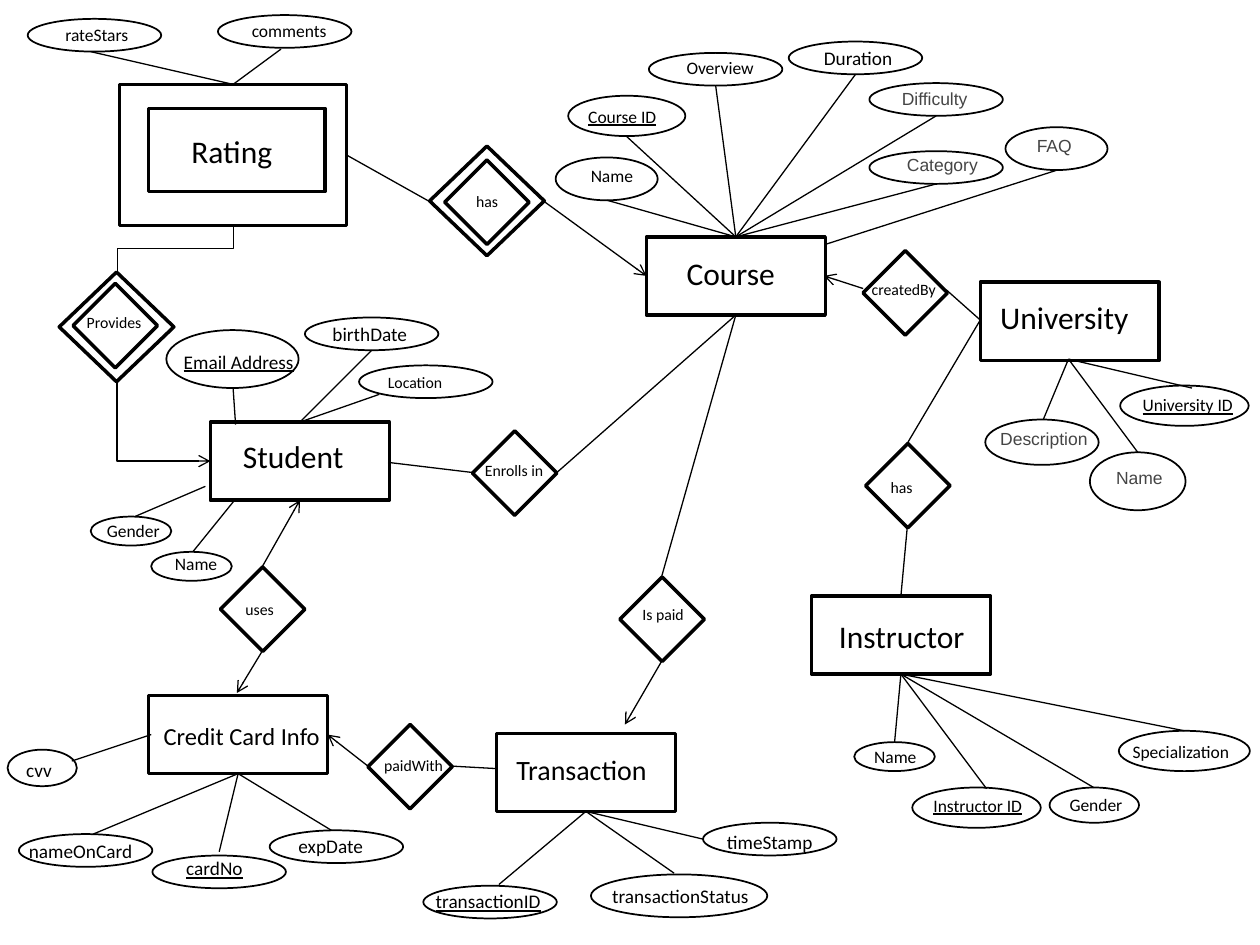
from dataclasses import dataclass
from typing import Optional

from lxml.etree import SubElement
from pptx import Presentation
from pptx.dml.color import RGBColor
from pptx.enum.shapes import MSO_CONNECTOR as CONN, MSO_SHAPE as SHAPE
from pptx.enum.text import MSO_AUTO_SIZE as AUTO
from pptx.oxml.ns import qn
from pptx.util import Inches, Pt

BLACK = RGBColor(0x00, 0x00, 0x00)
GRAY = RGBColor(0x45, 0x45, 0x45)
COLS, ROWS = 100, 75
LABEL_ROWS = {9: 2.5, 10: 2.7, 11: 2.9, 14: 3.4, 16: 3.7, 18: 4.0}
Point = tuple[float, float]
Box = tuple[float, float, float, float]


@dataclass
class Node:
    text: str
    box: Box
    label: tuple[float, float, float]
    size: int = 10
    key: bool = False
    gray: bool = False
    wrap: bool = True
    weak: Optional[Box] = None


@dataclass
class Link:
    start: Point
    end: Point
    arrow: bool = False


@dataclass
class Spokes:
    hub: Point
    ends: list[Point]


def entity(text: str, x: float, y: float, label: tuple[float, float, float], size: int = 18) -> Node:
    return Node(text, (x, y, 14.2, 6.2), label, size, wrap=False)


def relation(text: str, x: float, y: float, label: tuple[float, float, float],
             wrap: bool = False, weak: Optional[Box] = None) -> Node:
    return Node(text, (x, y, 6.7, 6.7), label, 9, wrap=wrap, weak=weak)


def attribute(text: str, x: float, y: float, label: tuple[float, float, float], size: int = 10,
              w: float = 10.6, h: float = 2.6, key: bool = False, gray: bool = False) -> Node:
    return Node(text, (x, y, w, h), label, size, key, gray, not gray)


ENTITIES = [
    Node("Rating", (11.8, 8.6, 14, 6.6), (14.2, 10, 8.5), 18, wrap=False, weak=(9.5, 6.7, 18, 11.2)),
    entity("Student", 16.7, 33.5, (18.3, 34.2, 10.1)),
    entity("Course", 51.3, 18.8, (53.5, 19.7, 9.1)),
    entity("University", 77.8, 22.4, (78.4, 23.2, 12.3)),
    entity("Instructor", 64.4, 47.3, (65.6, 48.5, 12.1)),
    entity("Credit Card Info", 11.8, 55.2, (12, 56.7, 14.5), 14),
    entity("Transaction", 39.4, 58.2, (40, 59.2, 12.5), 16),
]

RELATIONS = [
    relation("Provides", 5.8, 22.5, (5.9, 24.3, 6.4), weak=(4.7, 21.6, 9.1, 8.7)),
    relation("has", 35.3, 12.7, (36.8, 14.7, 7.8), True, weak=(34.1, 11.6, 9.1, 8.7)),
    relation("createdBy", 68.5, 19.9, (68.2, 21.7, 7.2)),
    relation("has", 68.7, 35.2, (69.7, 37.4, 7), True),
    relation("Enrolls in", 37.5, 34.2, (37.5, 36.1, 6.7)),
    relation("uses", 17.5, 45, (18.5, 47.1, 4.3)),
    relation("paidWith", 29.2, 57.5, (29.5, 59.5, 6.8)),
    relation("Is paid", 49.2, 45.8, (50, 47.5, 5.3)),
]

ATTRIBUTES = [
    attribute("rateStars", 2.2, 1.5, (4.2, 1.4, 8.8)),
    attribute("comments", 17.3, 1.2, (19, 1.1, 8.8)),
    attribute("Email Address", 13.2, 26.2, (13.6, 27.3, 11.8), 11, 10.5, 4.6, key=True),
    attribute("birthDate", 24.2, 25.2, (25.4, 25.1, 8.4), 11),
    attribute("Location", 28.5, 29, (29.8, 29.1, 10.2), 9),
    attribute("Gender", 7.2, 41, (7.5, 40.8, 6.8), w=6.4, h=2.3),
    attribute("Name", 12, 43.8, (12.9, 43.4, 5.6), w=6.4, h=2.3),
    attribute("Name", 44.1, 12.5, (45.9, 12.6, 7.8), w=8.1, h=3.4),
    attribute("Course ID", 45.1, 7.6, (45.7, 7.9, 7.8), w=9.3, h=3.2, key=True),
    attribute("Overview", 51.5, 4.2, (53.5, 4, 7.8)),
    attribute("Duration", 62.6, 3.3, (64.4, 3.2, 7.5), 11),
    attribute("Difficulty", 69, 6.6, (70.6, 6.5, 7.3), gray=True),
    attribute("Category", 69, 12, (71, 11.7, 7.7), gray=True),
    attribute("FAQ", 79.8, 10.1, (81.3, 10.2, 4.9), w=8.1, h=3.4, gray=True),
    attribute("University ID", 88.9, 30.6, (89.7, 30.8, 9.7), w=10.2, h=3.2, key=True),
    attribute("Description", 78.2, 33.3, (78.4, 33.5, 9), w=9, h=3.6, gray=True),
    attribute("Name", 86.5, 35.9, (87.6, 36.6, 5.8), w=7.6, h=4.6, gray=True),
    attribute("Name", 67.8, 58.9, (68.4, 58.7, 5.6), w=6.4, h=2.3),
    attribute("Instructor ID", 72.4, 62.5, (73.1, 62.6, 10.4), w=10.2, h=3.2, key=True),
    attribute("Gender", 83.3, 62.5, (83.9, 62.5, 6.8), w=7.1, h=2.8),
    attribute("Specialization", 88.8, 58, (88.9, 58.3, 10.1), w=10.4, h=3.2),
    attribute("cvv", 0.6, 59.5, (1.1, 59.7, 6.7), 11, 5.5, 2.9),
    attribute("nameOnCard", 1.5, 66.2, (1.3, 66.1, 10.8), 11),
    attribute("cardNo", 12.1, 67.9, (13.8, 67.5, 6.7), 11, key=True),
    attribute("expDate", 21.4, 65.9, (22.7, 65.7, 8.3), 11),
    attribute("transactionID", 33.6, 70.3, (33.6, 70.1, 10.8), 11, key=True),
    attribute("transactionStatus", 46.9, 69.4, (47.6, 69.7, 13.6), 11, 14, 3.4),
    attribute("timeStamp", 55.8, 65.3, (56.7, 65.4, 10.8), 11),
]

SPOKES = [
    Spokes((18.5, 6.7), [(7.2, 4.1), (22.3, 3.9)]),
    Spokes((23.8, 33.5), [(29.5, 27.8), (30.1, 31.3)]),
    Spokes((58.4, 18.8), [(48.2, 15.9), (49.7, 10.8), (56.8, 6.8), (67.9, 5.9), (74.3, 9.2), (74.3, 14.6)]),
    Spokes((84.8, 28.5), [(94.6, 30.8), (90.3, 35.9), (82.8, 33.3)]),
    Spokes((71.5, 53.5), [(71, 58.9), (78.3, 62.6), (86.8, 62.5), (94, 58)]),
    Spokes((18.9, 61.4), [(7.4, 66.2), (17.4, 67.6), (26.3, 65.9)]),
    Spokes((46.5, 64.4), [(39.6, 70.2), (53.5, 69.3), (55.8, 66.6)]),
    Spokes((58.4, 25), [(52.5, 45.8), (44.2, 37.5)]),
    Spokes((77.8, 25.4), [(75.1, 23), (72, 35.2)]),
]

LINKS = [
    Link((18.5, 30.8), (18.7, 33.7)),
    Link((10.7, 41), (16.3, 38.6)),
    Link((15.3, 43.8), (18.7, 39.6)),
    Link((65.5, 19.4), (83.9, 13.5)),
    Link((5.7, 60.4), (12, 58.3)),
    Link((35.8, 60.8), (39.4, 61)),
    Link((30.8, 36.7), (37.5, 37.5)),
    Link((34.1, 16), (27.5, 12.3)),
    Link((72, 41.9), (71.5, 47.3)),
    Link((29.2, 60.8), (26, 58.3), True),
    Link((52.5, 52.5), (49.6, 57.5), True),
    Link((20.8, 45), (23.8, 39.7), True),
    Link((20.8, 51.7), (18.8, 55), True),
    Link((43.2, 16), (51.3, 21.9), True),
    Link((68.5, 22.9), (65.4, 21.9), True),
]

ELBOWS = [
    (Link((9.3, 21.6), (18.5, 17.9)), "bentConnector3"),
    (Link((9.3, 30.3), (16.7, 36.6), True), "bentConnector2"),
]

prs = Presentation()
prs.slide_width, prs.slide_height = Inches(10), Inches(7.5)
s = prs.slides.add_slide(prs.slide_layouts[6])


def col(n: float) -> int:
    return round(prs.slide_width * n / COLS)


def row(n: float) -> int:
    return round(prs.slide_height * n / ROWS)


def draw_outline(kind: SHAPE, box: Box, weight: float) -> None:
    x, y, w, h = box
    sp = s.shapes.add_shape(kind, col(x), row(y), col(w), row(h))
    sp.shadow.inherit = False
    sp.fill.background()
    sp.line.color.rgb = BLACK
    sp.line.width = Pt(weight)


def draw_label(node: Node) -> None:
    x, y, w = node.label
    tf = s.shapes.add_textbox(col(x), row(y), col(w), row(LABEL_ROWS[node.size])).text_frame
    tf.word_wrap = node.wrap
    tf.auto_size = AUTO.SHAPE_TO_FIT_TEXT
    tf.text = node.text
    font = tf.paragraphs[0].runs[0].font
    font.name = "Arial" if node.gray else "Calibri"
    font.size = Pt(node.size)
    font.color.rgb = GRAY if node.gray else BLACK
    if node.key:
        font.underline = True


def draw_link(link: Link, bend: str = "") -> None:
    (x1, y1), (x2, y2) = link.start, link.end
    if bend:
        cx, cy = (x1 + x2) / 2, (y1 + y2) / 2
        x1, y1, x2, y2 = cx + y1 - cy, cy - x1 + cx, cx + y2 - cy, cy - x2 + cx
    c = s.shapes.add_connector(CONN.ELBOW if bend else CONN.STRAIGHT, col(x1), row(y1), col(x2), row(y2))
    c.line.color.rgb = BLACK
    c.line.width = Pt(0.75)
    sp_pr = c._element.spPr
    if bend:
        sp_pr.find(qn("a:xfrm")).set("rot", "5400000")
        sp_pr.find(qn("a:prstGeom")).set("prst", bend)
    if link.arrow:
        SubElement(sp_pr.find(qn("a:ln")), qn("a:tailEnd"), type="arrow")
    SubElement(sp_pr, qn("a:effectLst"))


for link in LINKS + [Link(spokes.hub, end) for spokes in SPOKES for end in spokes.ends]:
    draw_link(link)
for link, bend in ELBOWS:
    draw_link(link, bend)
for kind, weight, nodes in [(SHAPE.FLOWCHART_PROCESS, 2, ENTITIES), (SHAPE.DIAMOND, 2, RELATIONS),
                            (SHAPE.OVAL, 1, ATTRIBUTES)]:
    for node in nodes:
        draw_outline(kind, node.box, weight)
        if node.weak:
            draw_outline(kind, node.weak, weight)
        draw_label(node)

prs.save("out.pptx")
